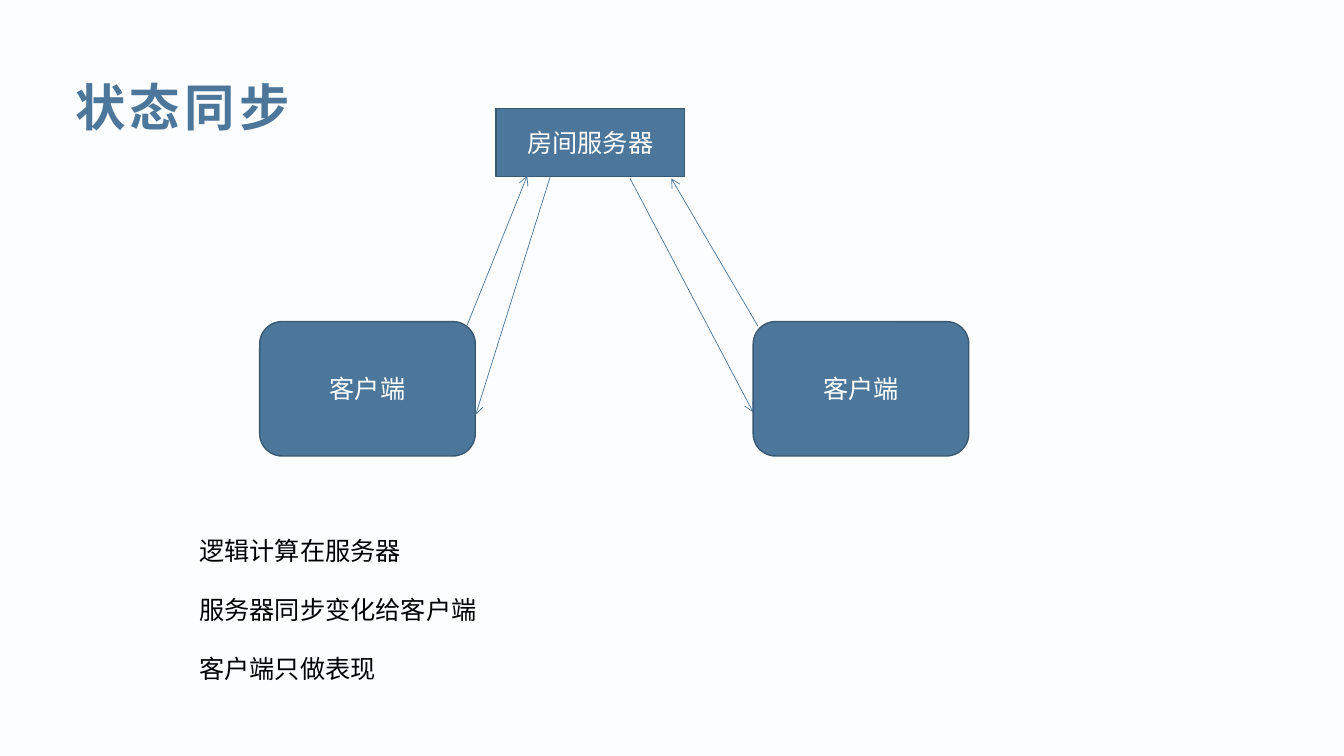
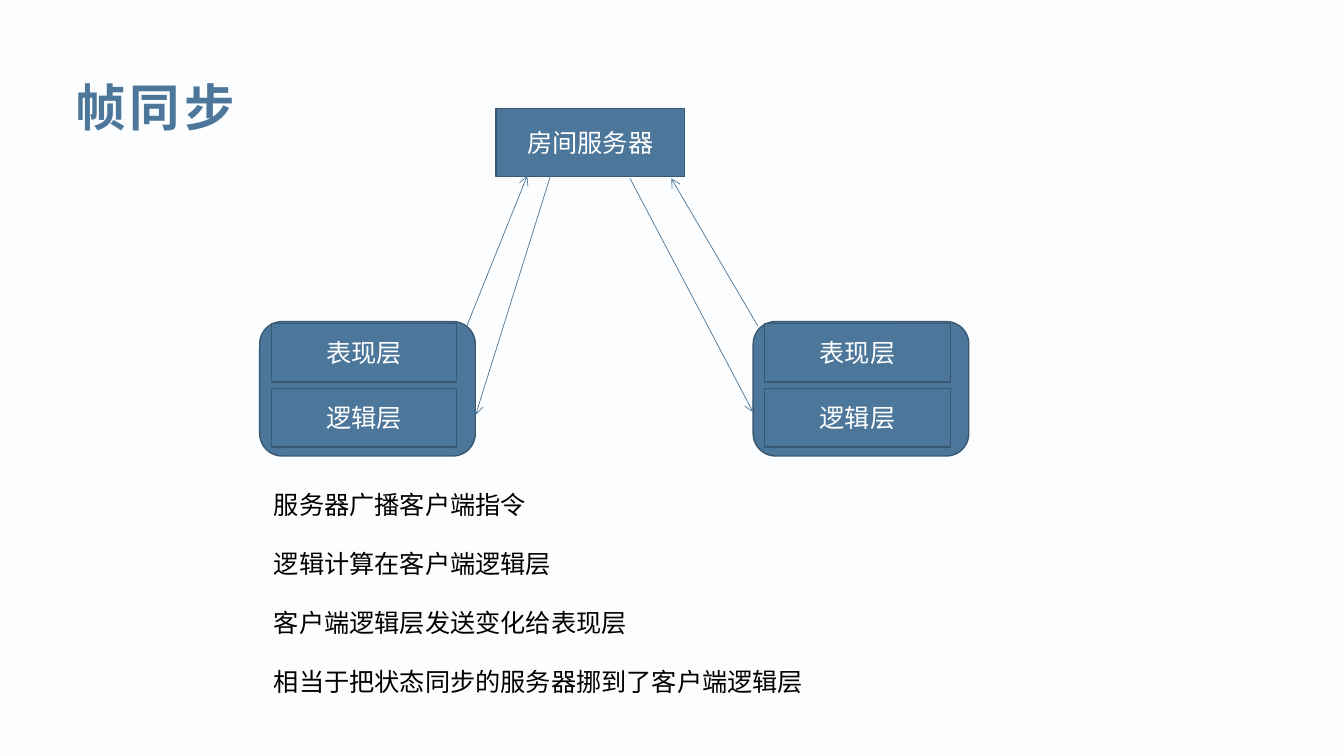
from lxml import etree
from pptx import Presentation
from pptx.dml.color import RGBColor
from pptx.enum.shapes import MSO_CONNECTOR, MSO_SHAPE
from pptx.enum.text import MSO_ANCHOR, PP_ALIGN
from pptx.oxml.ns import qn
from pptx.util import Pt

RECT, ROUNDED = MSO_SHAPE.RECTANGLE, MSO_SHAPE.ROUNDED_RECTANGLE
STRAIGHT = MSO_CONNECTOR.STRAIGHT
TOP, MIDDLE = MSO_ANCHOR.TOP, MSO_ANCHOR.MIDDLE
LEFT, CENTER = PP_ALIGN.LEFT, PP_ALIGN.CENTER

FONT = "Arial"
COLORS = {name: RGBColor.from_string(value) for name, value in {
    "background": "FBFDFE",
    "accent": "4D779A",
    "outline": "395872",
    "light": "FFFFFF",
    "body": "000000",
}.items()}

TOPICS = [
    {
        "title": "状态同步",
        "client": "客户端",
        "layers": [],
        "points": ["逻辑计算在服务器", "服务器同步变化给客户端", "客户端只做表现"],
        "points_box": (135.2, 378.6, 536.4, 138.2),
    },
    {
        "title": "帧同步",
        "client": "",
        "layers": ["表现层", "逻辑层"],
        "points": [
            "服务器广播客户端指令",
            "逻辑计算在客户端逻辑层",
            "客户端逻辑层发送变化给表现层",
            "相当于把状态同步的服务器挪到了客户端逻辑层",
        ],
        "points_box": (188.6, 345.6, 392.4, 164.2),
    },
]
CLIENT_LEFTS = [185.5, 538]
MESSAGES = [
    ((333.4, 233), (376.6, 125.6)),
    ((393, 126.3), (339.8, 296.3)),
    ((541.4, 233), (479.5, 127.4)),
    ((450, 127.4), (538, 294.5)),
]


def write(shape, lines, size=18, color="body", bold=False, align=LEFT,
          anchor=TOP, tracking=0, gap=0):
    frame = shape.text_frame
    frame.word_wrap = True
    frame.vertical_anchor = anchor
    for index, line in enumerate(lines):
        paragraph = frame.add_paragraph() if index else frame.paragraphs[0]
        paragraph.alignment = align
        paragraph.space_before = Pt(gap if index else 0)
        run = paragraph.add_run()
        run.text = line
        run.font.name = FONT
        run.font.size = Pt(size)
        run.font.bold = bold
        run.font.color.rgb = COLORS[color]
        properties = run.font._element
        properties.set("lang", "zh-CN")
        if tracking:
            properties.set("spc", str(tracking * 100))
        etree.SubElement(properties, qn("a:ea"), typeface=FONT)


def add_block(shapes, kind, box, label=""):
    block = shapes.add_shape(kind, *map(Pt, box))
    block.shadow.inherit = False
    block.fill.solid()
    block.fill.fore_color.rgb = COLORS["accent"]
    block.line.color.rgb = COLORS["outline"]
    block.line.width = Pt(1)
    if label:
        write(block, [label], color="light", align=CENTER, anchor=MIDDLE)


prs = Presentation()
prs.slide_width, prs.slide_height = Pt(960), Pt(540)
blank = prs.slide_layouts[6]
master_fill = prs.slide_master.background.fill
master_fill.solid()
master_fill.fore_color.rgb = COLORS["background"]

for topic in TOPICS:
    slide = prs.slides.add_slide(blank)

    title = slide.shapes.add_textbox(Pt(46.8), Pt(48.2), Pt(884.2), Pt(55.4))
    write(title, [topic["title"]], size=36, color="accent", bold=True,
          anchor=MIDDLE, tracking=3)

    add_block(slide.shapes, RECT, (354.4, 77.4, 134.6, 48.6), "房间服务器")

    for client_left in CLIENT_LEFTS:
        client = slide.shapes
        if topic["layers"]:
            client = slide.shapes.add_group_shape().shapes
        add_block(client, ROUNDED, (client_left, 229.7, 154, 96), topic["client"])
        for row, layer in enumerate(topic["layers"]):
            add_block(client, RECT,
                      (client_left + 8.3, 231 + 46.4 * row, 132.5, 41.8), layer)

    for start, end in MESSAGES:
        message = slide.shapes.add_connector(STRAIGHT, *map(Pt, start + end))
        message.line.color.rgb = COLORS["accent"]
        message.line.width = Pt(0.5)
        etree.SubElement(message.line._get_or_add_ln(), qn("a:tailEnd"), type="arrow")
        etree.SubElement(message._element.spPr, qn("a:effectLst"))

    points = slide.shapes.add_textbox(*map(Pt, topic["points_box"]))
    write(points, topic["points"], gap=20.7)

prs.save("out.pptx")
